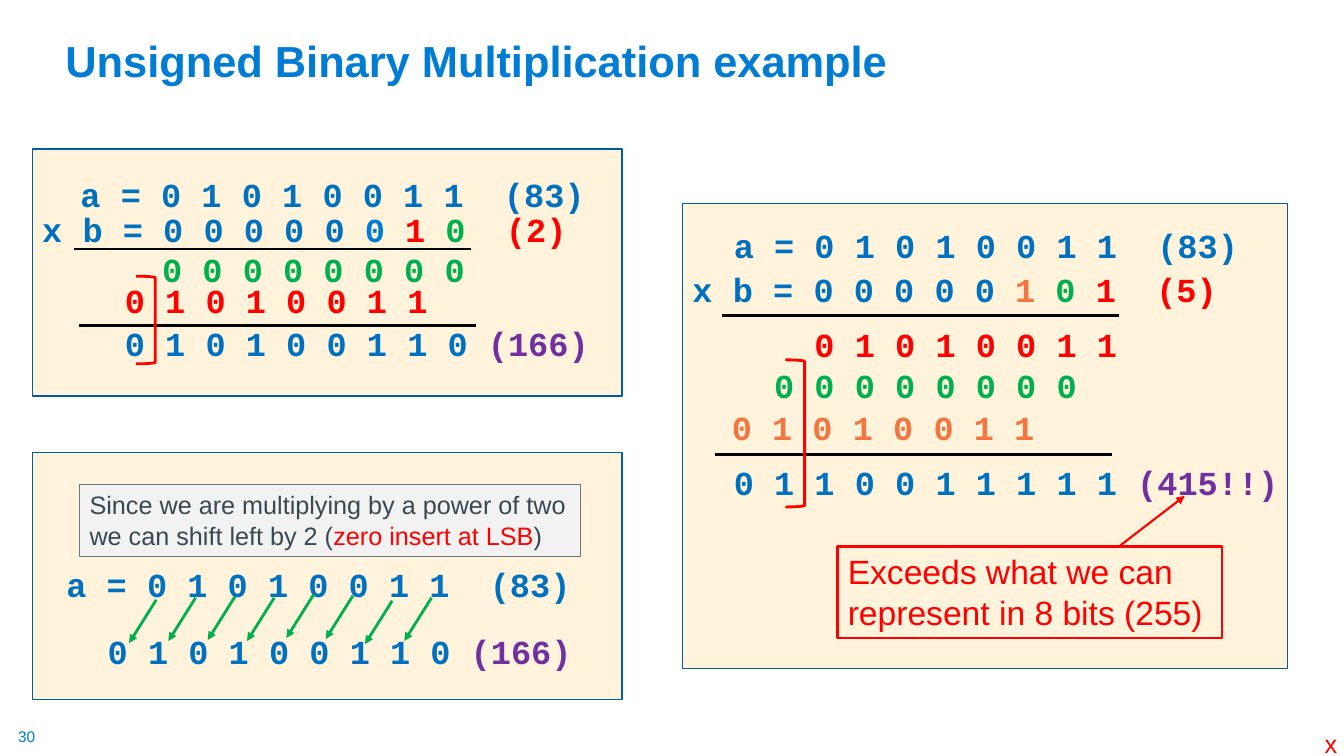
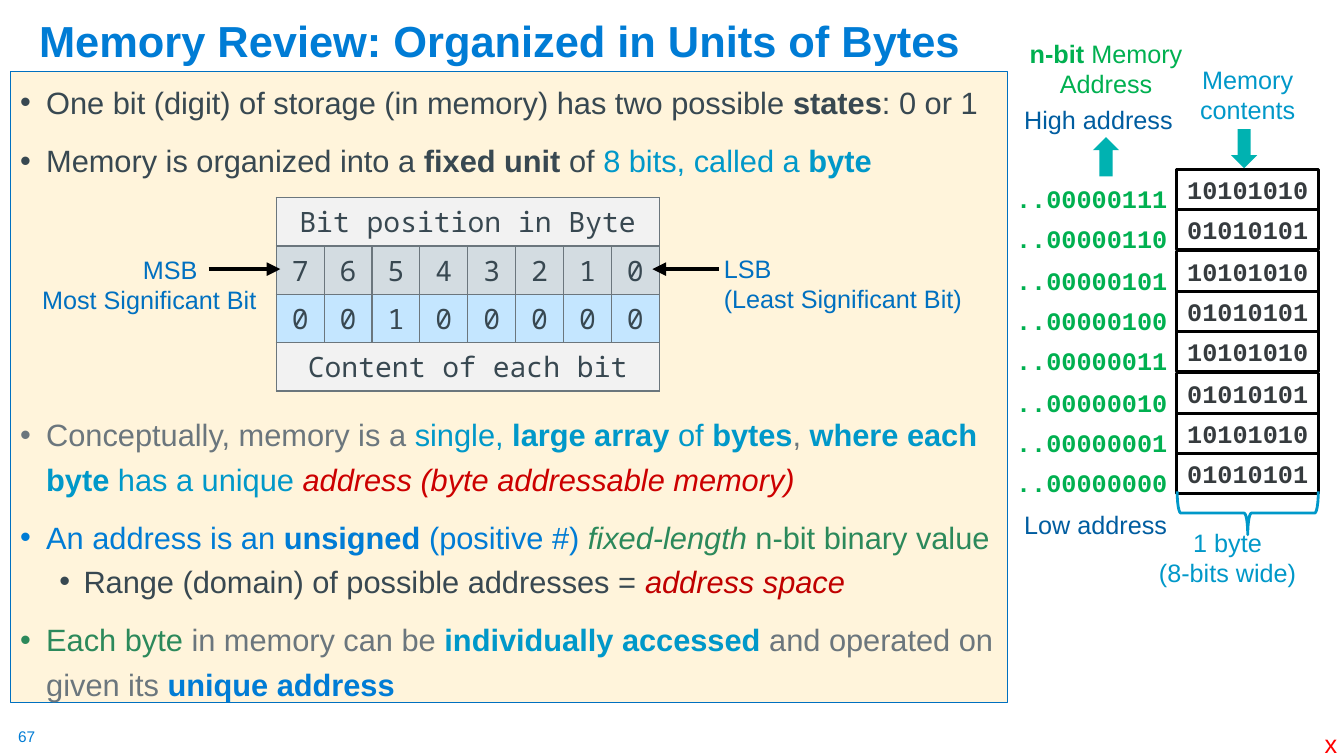
from lxml.etree import SubElement
from pptx import Presentation
from pptx.dml.color import RGBColor
from pptx.enum.shapes import MSO_CONNECTOR, MSO_SHAPE
from pptx.enum.text import MSO_ANCHOR, MSO_AUTO_SIZE, PP_ALIGN
from pptx.oxml.ns import qn
from pptx.util import Pt

PX = 9144
SANS, MONO, TABLE_FONT = "Arial", "Courier New", "Noto Sans Mono"
TITLE, BLUE, NAVY, CYAN = "007CD5", "0070C0", "005C9E", "0098C9"
RED, GREEN, ORANGE, PURPLE = "FF0000", "00B050", "F3753F", "7030A0"
DARK, GREY, CREAM, PALE = "384851", "6B767D", "FFF4DB", "F2F2F2"
FOREST, CRIMSON, MAROON, TEAL, BLACK = "2C895B", "CC0000", "C00000", "00B2B1", "000000"

TITLES = {
    30: ("Unsigned Binary Multiplication example", (55, 13, 1150, 78)),
    67: ("Memory Review: Organized in Units of Bytes", (29, 11, 1150, 60)),
}

PANELS = [(677, 202, 600, 461), (32, 449, 585, 245), (32, 148, 585, 245)]
OPERAND = [("a = 0 1 0 1 0 0 1 1", BLUE)]
ZEROS = [("0 0 0 0 0 0 0 0", GREEN)]
SHIFTED = [("0 1 0 1 0 0 1 1 0 ", BLUE), ("(166)", PURPLE)]
BIT_ROWS = [
    (718, 218, OPERAND, ("(83)", BLUE)),
    (677, 262, [("x b = 0 0 0 0 0 ", BLUE), ("1 ", ORANGE), ("0 ", GREEN), ("1", RED)], ("(5)", RED)),
    (798, 316, [("0 1 0 1 0 0 1 1", RED)], None),
    (758, 357, ZEROS, None),
    (716, 399, [("0 1 0 1 0 0 1 1", ORANGE)], None),
    (718, 453, [("0 1 1 0 0 1 1 1 1 1 ", BLUE), ("(415!!)", PURPLE)], None),
    (70, 168, OPERAND, ("(83)", BLUE)),
    (32, 202, [("x b = 0 0 0 0 0 ", BLUE), ("0 ", TITLE), ("1 ", RED), ("0", GREEN)], ("(2)", RED)),
    (151, 242, ZEROS, None),
    (114, 273, [("0 1 0 1 0 0 1 1", RED)], None),
    (114, 315, SHIFTED, None),
    (56, 555, OPERAND, ("(83)", BLUE)),
    (97, 621, SHIFTED, None),
]
CHAR_W = 20
SUM_LINES = [(716, 313), (709, 451), (73, 247), (78, 323)]
SUM_W = 394
BRACKETS = [(779, 357, 19, 146), (135, 274, 19, 87)]
SHIFT_TOPS = [595, 593, 592, 593, 590, 591, 596, 593]
OVERFLOW = [[("Exceeds what we can represent in 8 bits (255)", RED)]]
SHIFT_NOTE = [
    [("Since we are multiplying by a power of two", DARK)],
    [("we can shift left by 2 (", DARK), ("zero insert at LSB", RED), (")", DARK)],
]

BULLETS = [
    (0, 0, [("One bit (digit) of storage (in memory) has two possible ", DARK),
            ("states", DARK, "b"), (": 0 or 1", DARK)]),
    (0, 10, [("Memory is organized into a ", DARK), ("fixed unit ", DARK, "b"), ("of ", DARK),
             ("8 bits, called a ", CYAN), ("byte", CYAN, "b")]),
    (0, 164, [("Conceptually, memory is a ", GREY), ("single, ", CYAN), ("large array ", CYAN, "b"),
              ("of ", CYAN), ("bytes", CYAN, "b"), (", ", GREY), ("where each byte ", CYAN, "b"),
              ("has a unique ", CYAN), ("address (byte addressable memory)", CRIMSON, "i")]),
    (0, 10, [("An address is an ", TITLE), ("unsigned", TITLE, "b"), (" (positive #) ", TITLE),
             ("fixed-length", FOREST, "i"), (" n-bit binary value", FOREST)]),
    (1, 5, [("Range (domain) of possible addresses = ", DARK), ("address space", MAROON, "i")]),
    (0, 10, [("Each byte ", FOREST), ("in memory can be ", GREY), ("individually accessed", CYAN, "b"),
             (" and operated on given its ", GREY), ("unique address", TITLE, "b")]),
]
BULLET_LEVELS = [(26, -26, 1.2), (63, -24, 1.0)]
BYTE_TABLE = [
    (["Bit position in Byte"], PALE),
    (list("76543210"), "D3DCE1"),
    (list("00100000"), "C4E6FF"),
    (["Content of each bit"], PALE),
]
LABELS = [
    (962, 33, 270, 71, [[("n-bit", GREEN, "b"), (" Memory", GREEN)], [("Address", GREEN)]], True),
    (1149, 59, 177, 71, [[("Memory", CYAN)], [("contents", CYAN)]], True),
    (1129, 518, 177, 71, [[("1 byte", CYAN)], [("(8-bits wide)", CYAN)]], True),
    (1006, 99, 177, 40, [[("High address", "005DA0")]], False),
    (1006, 500, 177, 40, [[("Low address", "005DA0")]], False),
    (132, 247, 80, 40, [[("MSB", BLUE)]], False),
    (32, 277, 250, 40, [[("Most Significant Bit", BLUE)]], False),
    (708, 246, 259, 71, [[("LSB", BLUE)], [("(Least Significant Bit)", BLUE)]], False),
]
MEMORY_BYTES = ["10101010", "01010101"] * 4
MEMORY_PITCH = 40.35


def px(*values):
    return [round(v * PX) for v in values]


def rgb(value):
    return RGBColor.from_string(value)


def add_runs(p, runs, size, font=SANS):
    for text, colour, *style in runs:
        r = p.add_run()
        r.text = text
        r.font.name = font
        r.font.size = Pt(size)
        r.font.color.rgb = rgb(colour)
        r.font.bold = "b" in style
        r.font.italic = "i" in style


def write(sp, paragraphs, size, font=SANS, centred=False, wrap=True, anchor=MSO_ANCHOR.TOP):
    tf = sp.text_frame
    tf.word_wrap = wrap
    tf.auto_size = MSO_AUTO_SIZE.NONE if wrap else MSO_AUTO_SIZE.SHAPE_TO_FIT_TEXT
    tf.vertical_anchor = anchor
    for i, runs in enumerate(paragraphs):
        p = tf.add_paragraph() if i else tf.paragraphs[0]
        p.alignment = PP_ALIGN.CENTER if centred else PP_ALIGN.LEFT
        add_runs(p, runs, size, font)
    return tf


def add_text(s, at, paragraphs, size, **options):
    return write(s.shapes.add_textbox(*px(*at)), paragraphs, size, **options)


def add_box(s, at, fill=None, line=None, width=1, kind=MSO_SHAPE.RECTANGLE):
    sp = s.shapes.add_shape(kind, *px(*at))
    sp.shadow.inherit = False
    if fill:
        sp.fill.solid()
        sp.fill.fore_color.rgb = rgb(fill)
    else:
        sp.fill.background()
    if line:
        sp.line.color.rgb = rgb(line)
        sp.line.width = Pt(width)
    else:
        sp.line.fill.background()
    return sp


def add_line(s, ends, colour, width, arrow=False):
    c = s.shapes.add_connector(MSO_CONNECTOR.STRAIGHT, *px(*ends))
    c.line.color.rgb = rgb(colour)
    c.line.width = Pt(width)
    if arrow:
        SubElement(c.line._get_or_add_ln(), qn("a:tailEnd"), type="triangle")
    SubElement(c._element.spPr, qn("a:effectLst"))


def add_slide(prs, number):
    s = prs.slides.add_slide(prs.slide_layouts[6])
    title, at = TITLES[number]
    tf = add_text(s, at, [[(title, TITLE, "b")]], 31, anchor=MSO_ANCHOR.BOTTOM)
    tf.paragraphs[0].line_spacing = 0.9
    tf = add_text(s, (18, 721, 19, 19), [[(str(number), TITLE)]], 11, wrap=False)
    tf.margin_left = tf.margin_right = tf.margin_top = tf.margin_bottom = 0
    add_text(s, (1304, 718, 33, 40), [[("x", RED)]], 18, wrap=False)
    return s


def add_bits(s, x, y, runs, size=24, char_w=CHAR_W, height=50):
    count = sum(len(text) for text, _ in runs)
    bold = [(text, colour, "b") for text, colour in runs]
    add_text(s, (x, y, count * char_w + 20, height), [bold], size, font=MONO, wrap=False)
    return count


def add_multiplication(prs):
    s = add_slide(prs, 30)
    for at in PANELS:
        add_box(s, at, CREAM, NAVY)
    for x, y, runs, value in BIT_ROWS:
        count = add_bits(s, x, y, runs)
        if value:
            add_bits(s, x + (count + 2) * CHAR_W, y, [value])
    for x, y in SUM_LINES:
        add_line(s, (x, y, x + SUM_W, y), BLACK, 1.75)
    for at in BRACKETS:
        add_box(s, at, line=RED, width=2, kind=MSO_SHAPE.RIGHT_BRACKET)
    write(add_box(s, (831, 542, 381, 91), line=RED, width=2), OVERFLOW, 24)
    write(add_box(s, (79, 481, 497, 71), PALE, GREY, 0.75), SHIFT_NOTE, 18, wrap=False)
    for i, y in enumerate(SHIFT_TOPS):
        x = 155 + 39 * i
        add_line(s, (x, y, x - 27, y + 43), GREEN, 2, arrow=True)
    add_line(s, (1110, 542, 1175, 492), RED, 1.5, arrow=True)


def add_bullets(s):
    sp = add_box(s, (10, 71, 989, 626), CREAM, BLUE, 0.75)
    tf = write(sp, [runs for _, _, runs in BULLETS], 22)
    for p, (level, before, _) in zip(tf.paragraphs, BULLETS):
        left, hang, spacing = BULLET_LEVELS[level]
        pPr = p._p.get_or_add_pPr()
        pPr.set("marL", str(left * PX))
        pPr.set("indent", str(hang * PX))
        SubElement(pPr, qn("a:buFont"), typeface=SANS)
        SubElement(pPr, qn("a:buChar"), char="•")
        p.level = level
        p.line_spacing = spacing
        if before:
            p.space_before = Pt(before)


def add_byte_table(s):
    table = s.shapes.add_table(4, 8, *px(274, 196, 380, 192)).table
    table.first_row = table.horz_banding = False
    for column in table.columns:
        column.width = px(47.5)[0]
    for row, (values, fill) in enumerate(BYTE_TABLE):
        table.rows[row].height = px(48)[0]
        if len(values) == 1:
            table.cell(row, 0).merge(table.cell(row, 7))
        for col in range(8):
            cell = table.cell(row, col)
            tcPr = cell._tc.get_or_add_tcPr()
            for side in ("a:lnL", "a:lnR", "a:lnT", "a:lnB"):
                ln = SubElement(tcPr, qn(side), w=str(Pt(1)))
                SubElement(SubElement(ln, qn("a:solidFill")), qn("a:srgbClr"), val=GREY)
            cell.fill.solid()
            cell.fill.fore_color.rgb = rgb(fill)
            cell.vertical_anchor = MSO_ANCHOR.MIDDLE
            if col < len(values):
                p = cell.text_frame.paragraphs[0]
                p.alignment = PP_ALIGN.CENTER
                add_runs(p, [(values[col], DARK)], 20, TABLE_FONT)


def add_memory(prs):
    s = add_slide(prs, 67)
    add_bullets(s)
    add_byte_table(s)
    for x, y, w, h, lines, centred in LABELS:
        add_text(s, (x, y, w, h), lines, 18, centred=centred)
    for x1, x2 in [(207, 278), (713, 647)]:
        add_line(s, (x1, 267, x2, 267), BLACK, 3.25, arrow=True)
    for i, bits in enumerate(MEMORY_BYTES):
        offset = round(i * MEMORY_PITCH)
        address = f"..{len(MEMORY_BYTES) - 1 - i:08b}"
        add_bits(s, 998, 177 + offset, [(address, GREEN)], 18, 15, 40)
        cell = add_box(s, (1167, 168 + offset, 141, 40), line=BLACK, width=2)
        write(cell, [[(bits, "363B3E", "b")]], 18, font=MONO, centred=True)
    add_box(s, (1084, 136, 26, 39), TEAL, kind=MSO_SHAPE.UP_ARROW)
    add_box(s, (1221, 128, 26, 39), TEAL, kind=MSO_SHAPE.DOWN_ARROW)
    brace = add_box(s, (1216, 439, 43, 140), line=CYAN, width=2, kind=MSO_SHAPE.RIGHT_BRACE)
    brace.rotation = 90


def main():
    prs = Presentation()
    prs.slide_width, prs.slide_height = px(1333, 750)
    add_multiplication(prs)
    add_memory(prs)
    prs.save("out.pptx")


if __name__ == "__main__":
    main()
